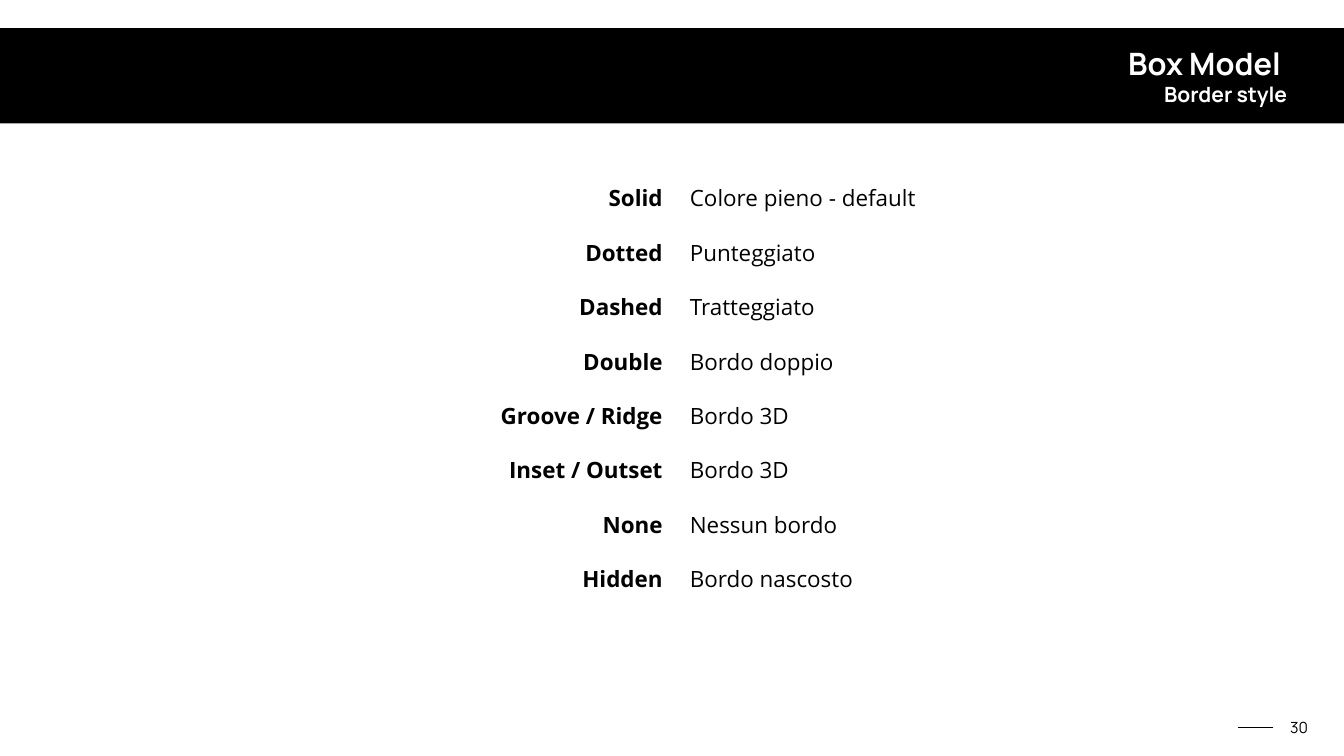
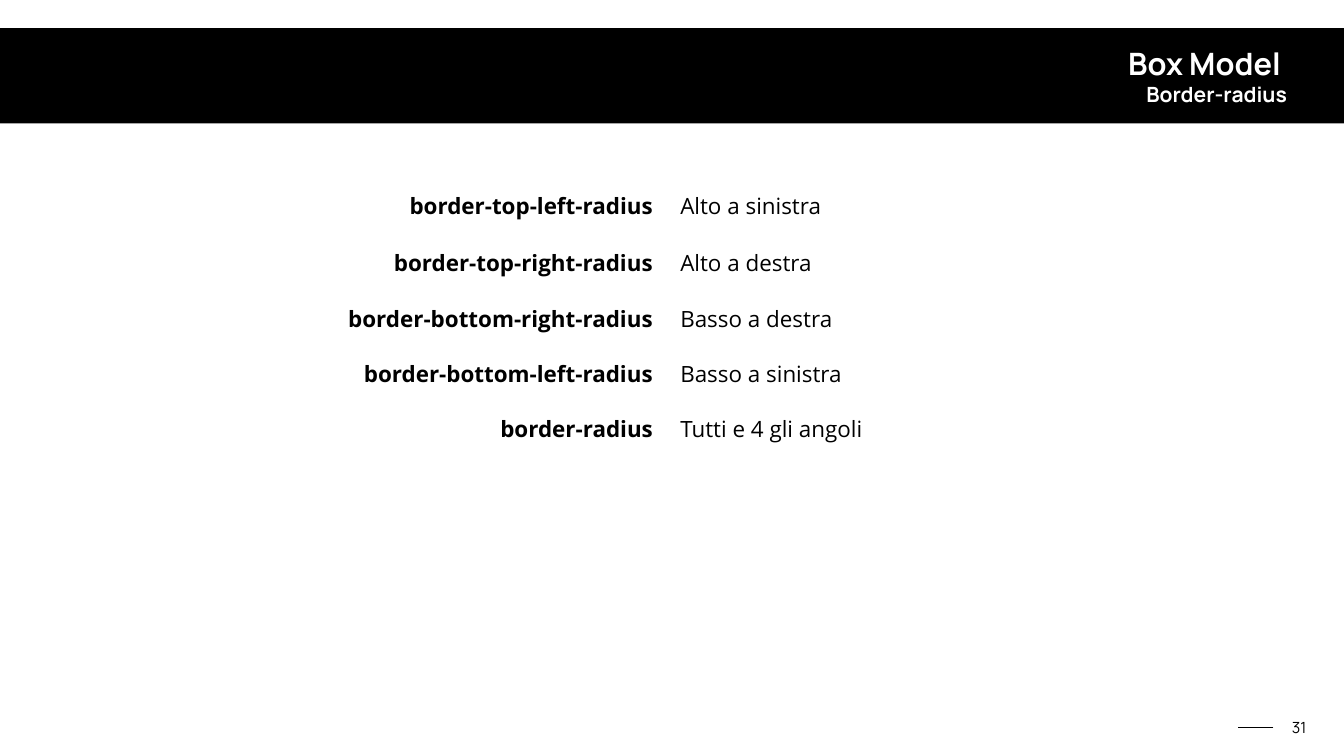
from lxml.etree import SubElement
from pptx import Presentation
from pptx.dml.color import RGBColor
from pptx.enum.shapes import MSO_CONNECTOR, MSO_SHAPE
from pptx.enum.text import MSO_ANCHOR, PP_ALIGN
from pptx.oxml.ns import qn
from pptx.util import Inches, Pt

BLACK = RGBColor(0x00, 0x00, 0x00)
WHITE = RGBColor(0xFF, 0xFF, 0xFF)
HEADING_FONT = "Manrope"
BODY_FONT = "Open Sans"
NO_STYLE_NO_GRID = "{2D5ABB26-0587-4C30-8999-92F81FD0307C}"
COLUMN_WIDTHS = (7.72, 7.5)
ROW_HEIGHT = 1.08


class Deck:
    """Holds the shared style and the current slide."""

    def __init__(self):
        self.prs = Presentation()
        self.prs.slide_width = Inches(26.67)
        self.prs.slide_height = Inches(15)
        self.slide = None

    def add_slide(self, title, subtitle, number):
        self.slide = self.prs.slides.add_slide(self.prs.slide_layouts[6])
        self.band()
        self.footer(number)
        self.title(title, subtitle)

    def style(self, p, text, size, font, color, align, bold=False):
        p.text = text
        p.alignment = align
        p.font.size = Pt(size)
        p.font.name = font
        p.font.bold = bold
        p.font.color.rgb = color

    def text_box(self, left, top, width, height, inset):
        tf = self.slide.shapes.add_textbox(
            Inches(left), Inches(top), Inches(width), Inches(height)).text_frame
        tf.word_wrap = True
        tf.vertical_anchor = MSO_ANCHOR.MIDDLE
        tf.margin_left = tf.margin_right = Inches(inset)
        tf.margin_top = tf.margin_bottom = Inches(inset)
        return tf

    def band(self):
        sp = self.slide.shapes.add_shape(
            MSO_SHAPE.RECTANGLE,
            Inches(-0.21), Inches(0.56), Inches(27.08), Inches(1.89))
        sp.shadow.inherit = False
        sp.fill.solid()
        sp.fill.fore_color.rgb = BLACK
        sp.line.fill.background()

    def title(self, title, subtitle):
        tf = self.text_box(1.01, 0.82, 24.59, 1.36, 0.06)
        self.style(tf.paragraphs[0], title, 44, HEADING_FONT, WHITE,
                   PP_ALIGN.RIGHT, bold=True)
        self.style(tf.add_paragraph(), subtitle, 30, HEADING_FONT, WHITE,
                   PP_ALIGN.RIGHT, bold=True)

    def footer(self, number):
        rule = self.slide.shapes.add_connector(
            MSO_CONNECTOR.STRAIGHT,
            Inches(25.27), Inches(14.44), Inches(24.56), Inches(14.44))
        rule.line.color.rgb = BLACK
        rule.line.width = Pt(2)
        SubElement(rule._element.spPr, qn("a:effectLst"))
        tf = self.text_box(25.29, 14.2, 0.98, 0.48, 0.27)
        self.style(tf.paragraphs[0], str(number), 22, HEADING_FONT, BLACK,
                   PP_ALIGN.CENTER)

    def definitions(self, left, top, rows, heights):
        table = self.slide.shapes.add_table(
            len(rows), len(COLUMN_WIDTHS), Inches(left), Inches(top),
            Inches(sum(COLUMN_WIDTHS)), Inches(sum(heights))).table
        table.first_row = table.horz_banding = False
        table._tbl.tblPr.find(qn("a:tableStyleId")).text = NO_STYLE_NO_GRID
        for column, width in zip(table.columns, COLUMN_WIDTHS):
            column.width = Inches(width)
        for row, height, (term, meaning) in zip(table.rows, heights, rows):
            row.height = Inches(height)
            self.cell(row.cells[0], term, PP_ALIGN.RIGHT, bold=True)
            self.cell(row.cells[1], meaning, PP_ALIGN.LEFT)

    def cell(self, cell, text, align, bold=False):
        cell.fill.background()
        cell.vertical_anchor = MSO_ANCHOR.MIDDLE
        cell.margin_left = cell.margin_right = Inches(0.27)
        cell.margin_top = cell.margin_bottom = Inches(0.13)
        self.style(cell.text_frame.paragraphs[0], text, 32, BODY_FONT, BLACK,
                   align, bold)


def main():
    deck = Deck()

    # Border styles
    border_styles = [
        ("Solid", "Colore pieno - default"),
        ("Dotted", "Punteggiato"),
        ("Dashed", "Tratteggiato"),
        ("Double", "Bordo doppio"),
        ("Groove / Ridge", "Bordo 3D"),
        ("Inset / Outset", "Bordo 3D"),
        ("None", "Nessun bordo"),
        ("Hidden", "Bordo nascosto"),
    ]
    deck.add_slide("Box Model ", "Border style", 30)
    deck.definitions(5.7, 3.39, border_styles,
                     [ROW_HEIGHT] * len(border_styles))

    # Border radius properties
    radius_properties = [
        ("border-top-left-radius", "Alto a sinistra"),
        ("border-top-right-radius", "Alto a destra"),
        ("border-bottom-right-radius", "Basso a destra"),
        ("border-bottom-left-radius", "Basso a sinistra"),
        ("border-radius", "Tutti e 4 gli angoli"),
    ]
    deck.add_slide("Box Model ", "Border-radius", 31)
    deck.definitions(5.51, 3.52, radius_properties,
                     [1.14, 1.12, 1.1, ROW_HEIGHT, ROW_HEIGHT])

    deck.prs.save("out.pptx")


if __name__ == "__main__":
    main()
